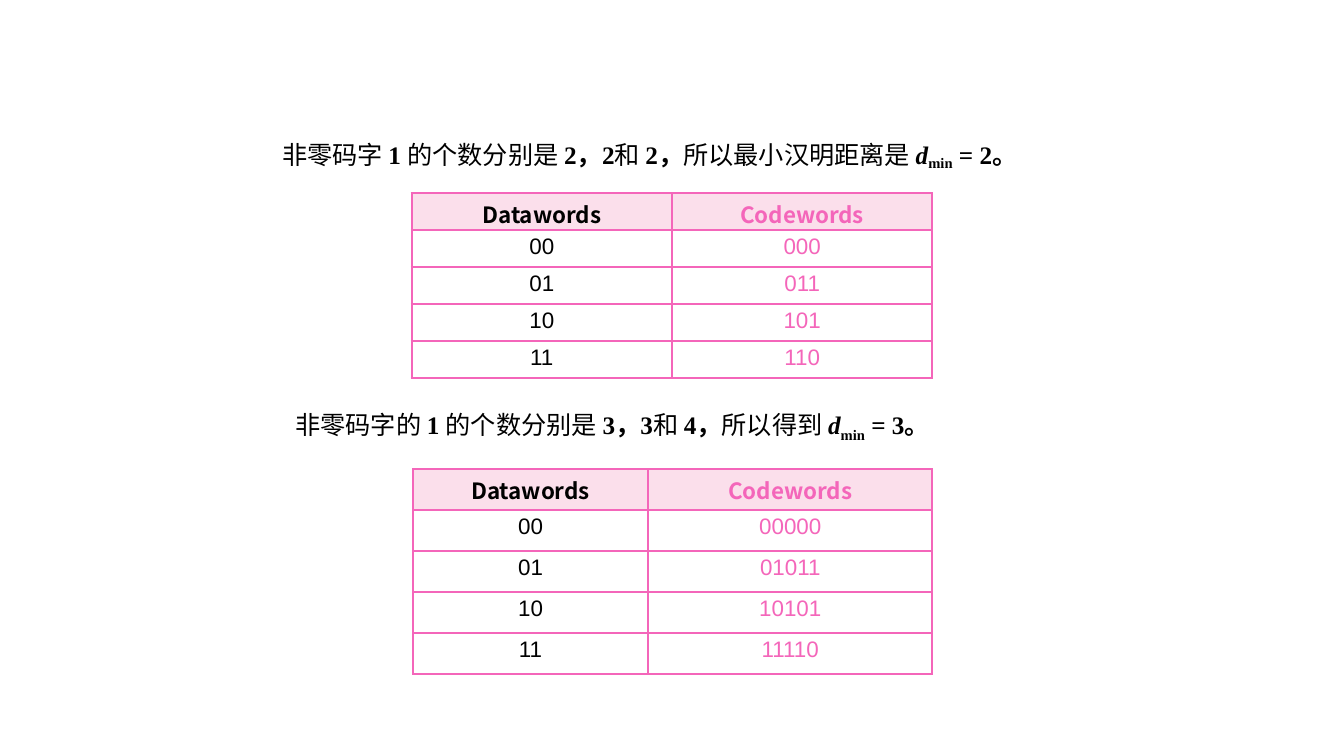
from lxml import etree
from pptx import Presentation
from pptx.dml.color import RGBColor
from pptx.enum.text import MSO_ANCHOR, PP_ALIGN
from pptx.oxml.ns import qn
from pptx.util import Pt

CENTER, JUSTIFY, LEFT = PP_ALIGN.CENTER, PP_ALIGN.JUSTIFY, PP_ALIGN.LEFT
MIDDLE = MSO_ANCHOR.MIDDLE
BLACK = RGBColor(0x00, 0x00, 0x00)
WHITE = RGBColor(0xFF, 0xFF, 0xFF)
PINK = RGBColor(0xF4, 0x66, 0xBA)
PALE_PINK = RGBColor(0xFB, 0xDF, 0xEB)
CJK, SERIF, SANS = "Noto Sans CJK SC", "Times New Roman", "Arial"


def add_run(p, text, font=SERIF, size=18, color=BLACK, bold=False, italic=False, baseline=0):
    r = p.add_run()
    r.text = text
    r.font.size = Pt(size)
    r.font.bold = bold
    r.font.italic = italic
    r.font.color.rgb = color
    r.font.name = font
    rPr = r.font._element
    if baseline:
        rPr.set("baseline", str(baseline * 1000))
    ea = etree.Element(qn("a:ea"), typeface=CJK)
    rPr.find(qn("a:latin")).addnext(ea)


def add_statement(s, left, top, width, pieces, distance, subscript, align):
    tf = s.shapes.add_textbox(Pt(left), Pt(top), Pt(width), Pt(28.8)).text_frame
    tf.word_wrap = True
    tf.vertical_anchor = MIDDLE
    tf.margin_top = tf.margin_bottom = 0
    p = tf.paragraphs[0]
    p.alignment = align
    for i, text in enumerate(pieces):
        number = i % 2 == 1
        add_run(p, text, font=SERIF if number else CJK, bold=number)
    add_run(p, "d", bold=True, italic=True)
    add_run(p, "min", bold=True, baseline=subscript)
    add_run(p, f" = {distance}。", bold=True)


def set_borders(cell, color, width):
    tcPr = cell._tc.get_or_add_tcPr()
    for i, side in enumerate(("lnL", "lnR", "lnT", "lnB")):
        ln = etree.Element(qn(f"a:{side}"), w=str(Pt(width)))
        fill = etree.SubElement(ln, qn("a:solidFill"))
        etree.SubElement(fill, qn("a:srgbClr"), val=str(color))
        tcPr.insert(i, ln)


def add_code_table(s, left, top, widths, row_height, codewords):
    rows = [("Datawords", "Codewords"), *zip(("00", "01", "10", "11"), codewords)]
    table = s.shapes.add_table(
        len(rows), len(widths), Pt(left), Pt(top), Pt(sum(widths)), Pt(row_height * len(rows))
    ).table
    for column, width in zip(table.columns, widths):
        column.width = Pt(width)
    for i, row in enumerate(rows):
        header = i == 0
        table.rows[i].height = Pt(row_height)
        for j, text in enumerate(row):
            cell = table.cell(i, j)
            cell.margin_top, cell.margin_bottom = Pt(3.2), 0
            cell.fill.solid()
            cell.fill.fore_color.rgb = PALE_PINK if header else WHITE
            set_borders(cell, PINK, 1.5)
            p = cell.text_frame.paragraphs[0]
            p.alignment = CENTER
            add_run(p, text, font=CJK if header else SANS, size=16,
                    color=PINK if j else BLACK, bold=header)


def main():
    prs = Presentation()
    prs.slide_width, prs.slide_height = Pt(960), Pt(540)
    s = prs.slides.add_slide(prs.slide_layouts[6])
    add_statement(s, 194.4, 96.5, 595.4,
                  ["非零码字 ", "1 ", "的个数分别是 ", "2，2", "和 ", "2，", "所以最小汉明距离是 "],
                  2, -18, JUSTIFY)
    add_statement(s, 203.8, 290.2, 527.8,
                  ["非零码字的 ", "1 ", "的个数分别是 ", "3，3", "和 ", "4，", "所以得到 "],
                  3, -25, LEFT)
    add_code_table(s, 294, 138, (186, 186), 26.4, ("000", "011", "101", "110"))
    add_code_table(s, 295, 335, (168, 203), 29.3, ("00000", "01011", "10101", "11110"))
    prs.save("out.pptx")


if __name__ == "__main__":
    main()
